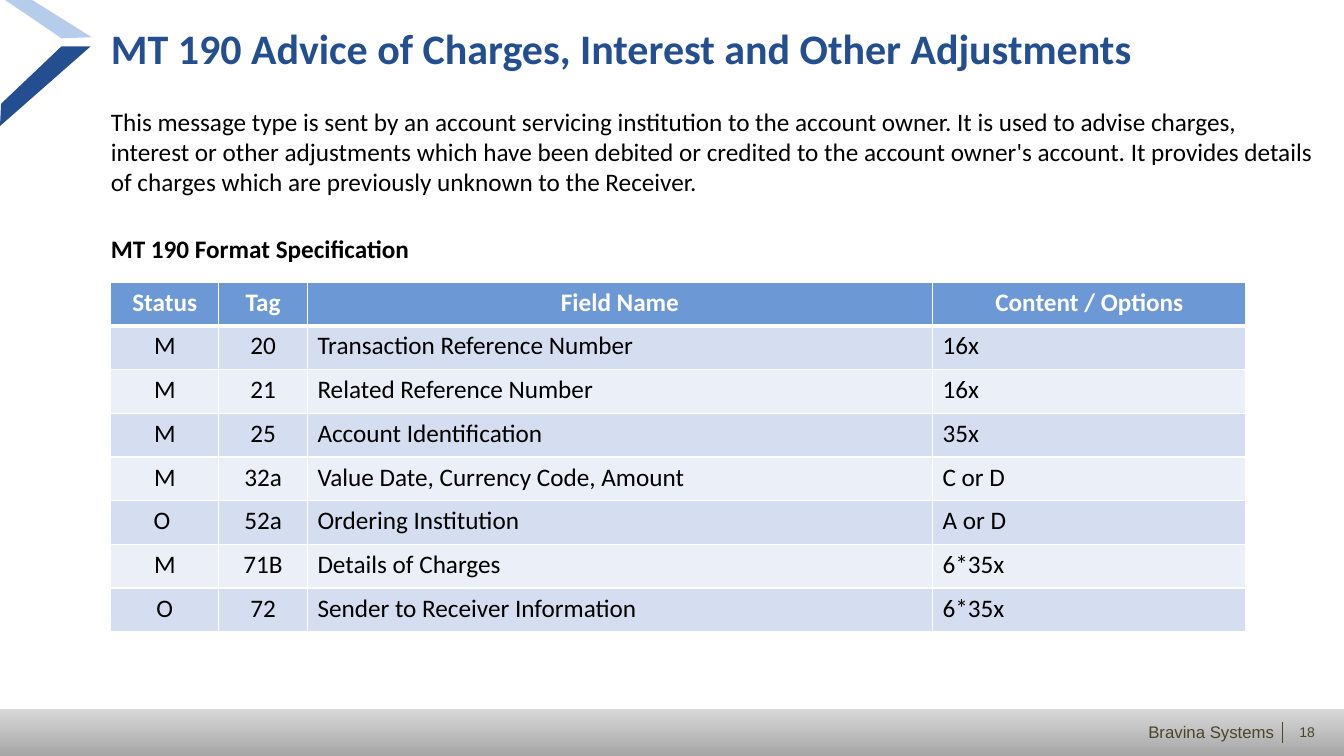
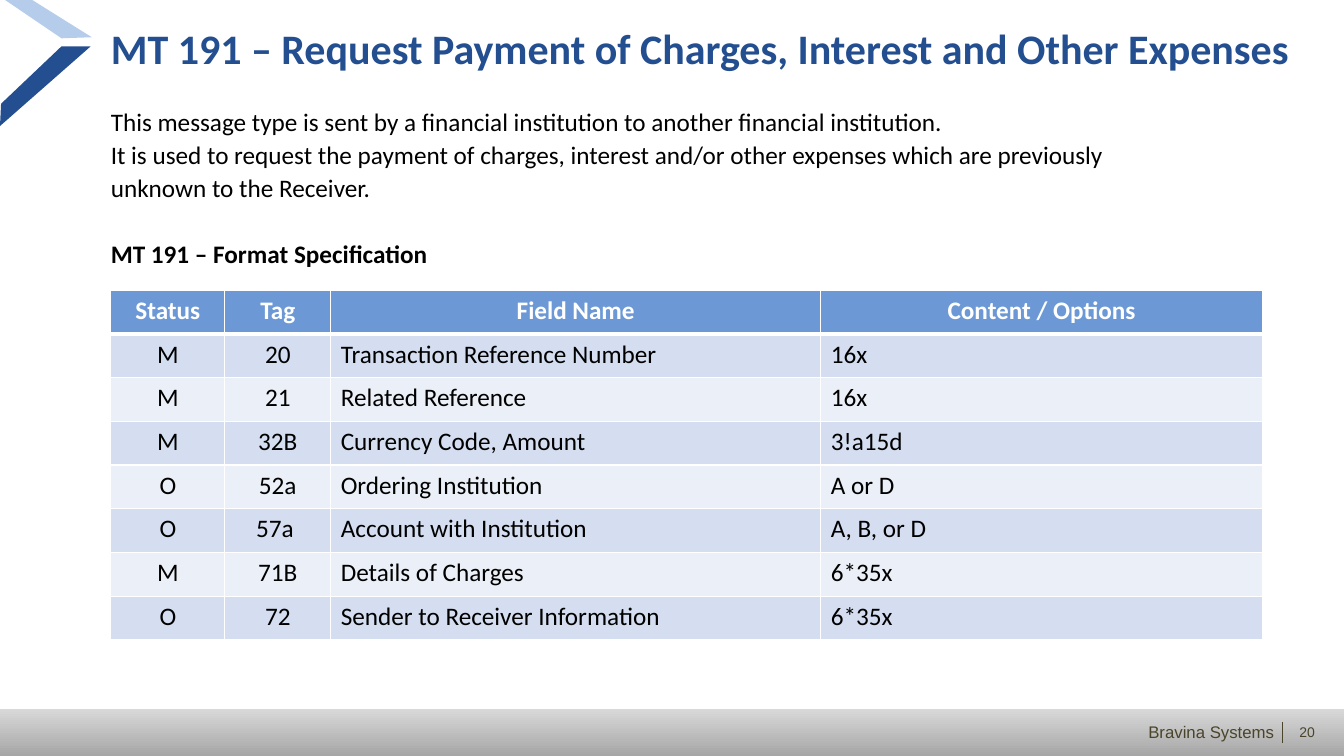
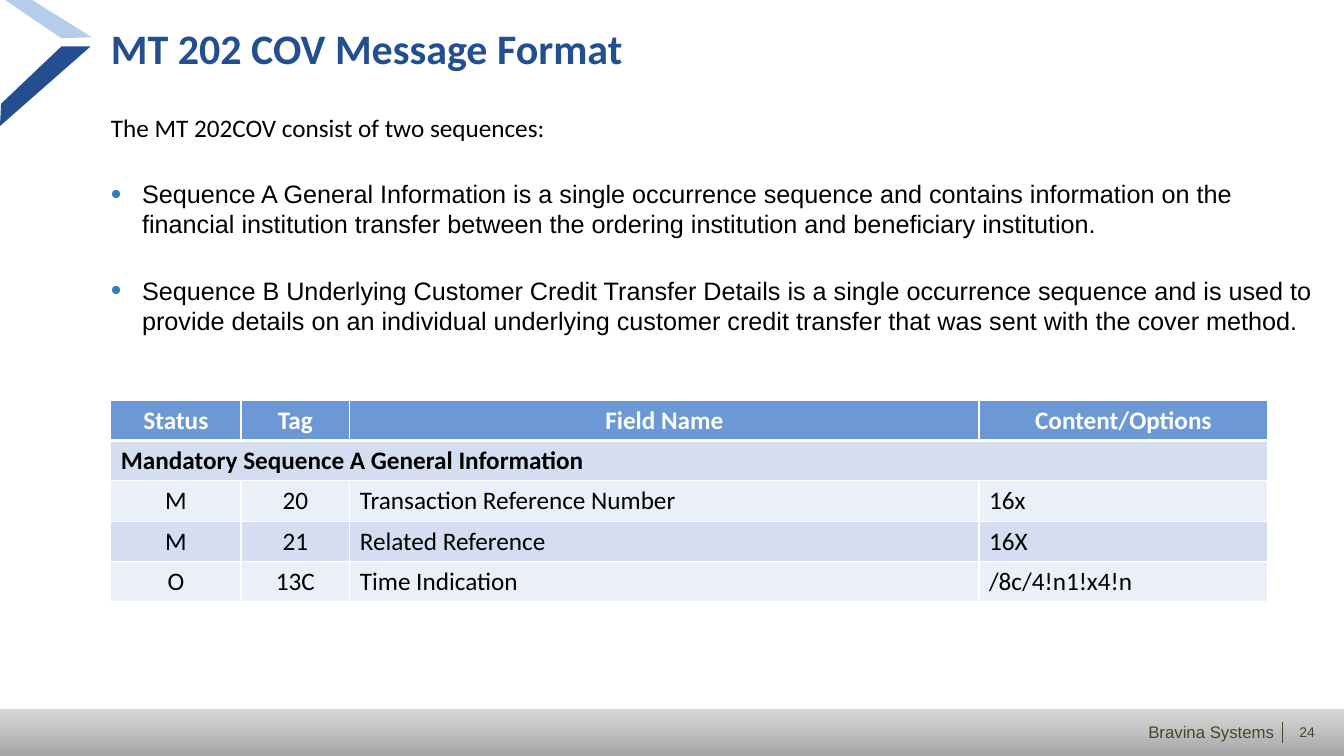
"""Builds three slides on charges, payment request and cover message formats."""
from lxml.etree import SubElement
from pptx import Presentation
from pptx.dml.color import RGBColor
from pptx.enum.shapes import MSO_CONNECTOR, MSO_SHAPE
from pptx.enum.text import MSO_ANCHOR, PP_ALIGN
from pptx.oxml.ns import qn
from pptx.util import Inches, Pt

NAVY = RGBColor(0x23, 0x4E, 0x8F)
SKY = RGBColor(0xB5, 0xCC, 0xEA)
HEADER_BLUE = RGBColor(0x6C, 0x99, 0xD6)
BAND_DARK = RGBColor(0xD4, 0xDE, 0xF0)
BAND_LIGHT = RGBColor(0xEB, 0xEF, 0xF7)
BULLET_BLUE = RGBColor(0x2F, 0x82, 0xBF)
OLIVE = RGBColor(0x4A, 0x45, 0x2A)
SILVER = RGBColor(0xD9, 0xD9, 0xD9)
GREY = RGBColor(0xA6, 0xA6, 0xA6)
BLACK = RGBColor(0, 0, 0)
WHITE = RGBColor(0xFF, 0xFF, 0xFF)

deck = Presentation()
deck.slide_width, deck.slide_height = Inches(13.33), Inches(7.5)
COL, ROW = deck.slide_width / 100, deck.slide_height / 100
MARGIN, TEXT_WIDTH = 8.25, 89.65

PLAIN = {"name": "Calibri", "size": Pt(18), "bold": False, "color": BLACK}
BOLD = {**PLAIN, "bold": True}
HEADER = {**BOLD, "color": WHITE}
TITLE = {**BOLD, "size": Pt(30), "color": NAVY}
BULLET = {**PLAIN, "name": "Arial"}
BRAND = {**BULLET, "size": Pt(12), "color": OLIVE}
NUMBER = {**BRAND, "size": Pt(10)}

BODY_STYLES = {
    "first": (0, PLAIN),
    "line": (2, PLAIN),
    "heading": (26, BOLD),
    "bullet": (26, BULLET),
}
CHEVRON = [
    (SKY, [(2.4, 0), (6.83, 4.93), (4.58, 5.07), (0.38, 0)]),
    (NAVY, [(4.58, 6.13), (6.75, 6.13), (0, 16.67), (0.08, 13.73)]),
]

MESSAGES = [
    {
        "number": "18",
        "title": "MT 190 Advice of Charges, Interest and Other Adjustments",
        "body_top": 14,
        "body": [
            ("first", "This message type is sent by an account servicing institution to the account owner. "
                      "It is used to advise charges, interest or other adjustments which have been debited or "
                      "credited to the account owner's account. It provides details of charges which are "
                      "previously unknown to the Receiver."),
            ("heading", "MT 190 Format Specification"),
        ],
        "table_top": 37.33,
        "row_height": 5.78,
        "columns": [8.03, 6.6, 46.51, 23.33],
        "fields": [
            ("Status", "Tag", "Field Name", "Content / Options"),
            ("M", "20", "Transaction Reference Number", "16x"),
            ("M", "21", "Related Reference Number", "16x"),
            ("M", "25", "Account Identification", "35x"),
            ("M", "32a", "Value Date, Currency Code, Amount", "C or D"),
            ("O ", "52a", "Ordering Institution", "A or D"),
            ("M", "71B", "Details of Charges", "6*35x"),
            ("O", "72", "Sender to Receiver Information", "6*35x"),
        ],
    },
    {
        "number": "20",
        "title": "MT 191 – Request Payment of Charges, Interest and Other Expenses",
        "body_top": 14,
        "body": [
            ("first", "This message type is sent by a financial institution to another financial institution."),
            ("line", "It is used to request the payment of charges, interest and/or other expenses "
                     "which are previously"),
            ("line", "unknown to the Receiver."),
            ("heading", "MT 191 – Format Specification"),
        ],
        "table_top": 38.4,
        "row_height": 5.78,
        "columns": [8.48, 7.88, 36.46, 32.86],
        "fields": [
            ("Status", "Tag", "Field Name", "Content / Options"),
            ("M", "20", "Transaction Reference Number", "16x"),
            ("M", "21", "Related Reference", "16x"),
            ("M", "32B", "Currency Code, Amount", "3!a15d"),
            ("O", "52a", "Ordering Institution", "A or D"),
            ("O", "57a ", "Account with Institution", "A, B, or D"),
            ("M", "71B", "Details of Charges", "6*35x"),
            ("O", "72", "Sender to Receiver Information", "6*35x"),
        ],
    },
    {
        "number": "24",
        "title": "MT 202 COV Message Format",
        "body_top": 14.8,
        "body": [
            ("first", "The MT 202COV consist of two sequences:"),
            ("bullet", "Sequence A General Information is a single occurrence sequence and contains information "
                       "on the financial institution transfer between the ordering institution and "
                       "beneficiary institution."),
            ("bullet", "Sequence B Underlying Customer Credit Transfer Details is a single occurrence sequence "
                       "and is used to provide details on an individual underlying customer credit transfer "
                       "that was sent with the cover method."),
        ],
        "table_top": 52.93,
        "row_height": 5.33,
        "columns": [9.68, 8.1, 46.81, 21.5],
        "fields": [
            ("Status", "Tag", "Field Name", "Content/Options"),
            ("Mandatory Sequence A General Information",),
            ("M", "20", "Transaction Reference Number", "16x"),
            ("M", "21", "Related Reference", "16X"),
            ("O", "13C", "Time Indication", "/8c/4!n1!x4!n"),
        ],
    },
]


def write(paragraph, text, style, align=PP_ALIGN.LEFT):
    paragraph.alignment = align
    run = paragraph.add_run()
    run.text = text
    for attribute, value in style.items():
        if attribute == "color":
            run.font.color.rgb = value
        else:
            setattr(run.font, attribute, value)


def add_frame(slide, left, top, width, height, **settings):
    area = slide.shapes.add_textbox(*map(int, (left * COL, top * ROW, width * COL, height * ROW)))
    frame = area.text_frame
    margins = dict.fromkeys(("margin_left", "margin_top", "margin_right", "margin_bottom"), 0)
    for attribute, value in {**margins, "word_wrap": True, **settings}.items():
        setattr(frame, attribute, value)
    return frame


for message in MESSAGES:
    slide = deck.slides.add_slide(deck.slide_layouts[6])

    footer = slide.shapes.add_shape(
        MSO_SHAPE.RECTANGLE, 0, int(93.73 * ROW), deck.slide_width, int(6.27 * ROW))
    footer.shadow.inherit = False
    footer.line.fill.background()
    footer.fill.gradient()
    footer.fill.gradient_angle = 270
    for stop, (position, shade) in zip(footer.fill.gradient_stops, [(0, SILVER), (1, GREY)]):
        stop.position = position
        stop.color.rgb = shade

    number = add_frame(slide, 96.62, 95.73, 1.28, 2.27, word_wrap=False)
    write(number.paragraphs[0], message["number"], NUMBER, PP_ALIGN.CENTER)
    brand = add_frame(slide, 85.22, 95.47, 9.6, 2.67, word_wrap=False, vertical_anchor=MSO_ANCHOR.MIDDLE)
    write(brand.paragraphs[0], "Bravina Systems", BRAND, PP_ALIGN.RIGHT)

    divider = slide.shapes.add_connector(
        MSO_CONNECTOR.STRAIGHT, *map(int, (95.42 * COL, 95.47 * ROW, 95.42 * COL, 98.27 * ROW)))
    divider.line.color.rgb = OLIVE
    divider.line.width = Pt(0.75)
    SubElement(divider.element.spPr, qn("a:effectLst"))

    for shade, corners in CHEVRON:
        points = [(int(x * COL), int(y * ROW)) for x, y in corners]
        outline = slide.shapes.build_freeform(*points[0])
        outline.add_line_segments(points[1:], close=True)
        arm = outline.convert_to_shape()
        arm.shadow.inherit = False
        arm.fill.solid()
        arm.fill.fore_color.rgb = shade
        arm.line.fill.background()

    title = add_frame(slide, MARGIN, 2.93, TEXT_WIDTH, 6.67)
    write(title.paragraphs[0], message["title"], TITLE)

    body_height = message["table_top"] - message["body_top"]
    body = add_frame(slide, MARGIN, message["body_top"], TEXT_WIDTH, body_height)
    for index, (kind, text) in enumerate(message["body"]):
        paragraph = body.add_paragraph() if index else body.paragraphs[0]
        gap, style = BODY_STYLES[kind]
        paragraph.space_before = Pt(gap)
        if kind == "bullet":
            properties = paragraph._p.get_or_add_pPr()
            properties.set("marL", str(Inches(0.31)))
            properties.set("indent", str(-Inches(0.31)))
            SubElement(SubElement(properties, qn("a:buClr")), qn("a:srgbClr")).set("val", str(BULLET_BLUE))
            SubElement(properties, qn("a:buSzPct")).set("val", "120000")
            SubElement(properties, qn("a:buFont")).set("typeface", "Arial")
            SubElement(properties, qn("a:buChar")).set("char", "•")
        write(paragraph, text, style)

    fields, columns = message["fields"], message["columns"]
    row_height = int(message["row_height"] * ROW)
    specification = slide.shapes.add_table(
        len(fields), len(columns), int(MARGIN * COL), int(message["table_top"] * ROW),
        int(sum(columns) * COL), row_height * len(fields)).table
    for column, width in zip(specification.columns, columns):
        column.width = int(width * COL)

    for row, entries in enumerate(fields):
        specification.rows[row].height = row_height
        section = len(entries) == 1
        if row == 0:
            band, style = HEADER_BLUE, HEADER
        else:
            band, style = (BAND_DARK if row % 2 else BAND_LIGHT), (BOLD if section else PLAIN)
        for column in range(len(columns)):
            cell = specification.cell(row, column)
            borders = {"L": 1, "R": 1, "T": 3 if row == 1 else 1, "B": 3 if row == 0 else 1}
            for side, weight in borders.items():
                edge = SubElement(cell._tc.get_or_add_tcPr(), qn(f"a:ln{side}"), w=str(Pt(weight)))
                SubElement(SubElement(edge, qn("a:solidFill")), qn("a:srgbClr")).set("val", str(WHITE))
            cell.fill.solid()
            cell.fill.fore_color.rgb = band
        if section:
            specification.cell(row, 0).merge(specification.cell(row, len(columns) - 1))
        for column, text in enumerate(entries):
            centred = row == 0 or (column < 2 and not section)
            write(specification.cell(row, column).text_frame.paragraphs[0], text, style,
                  PP_ALIGN.CENTER if centred else PP_ALIGN.LEFT)

deck.save("out.pptx")
